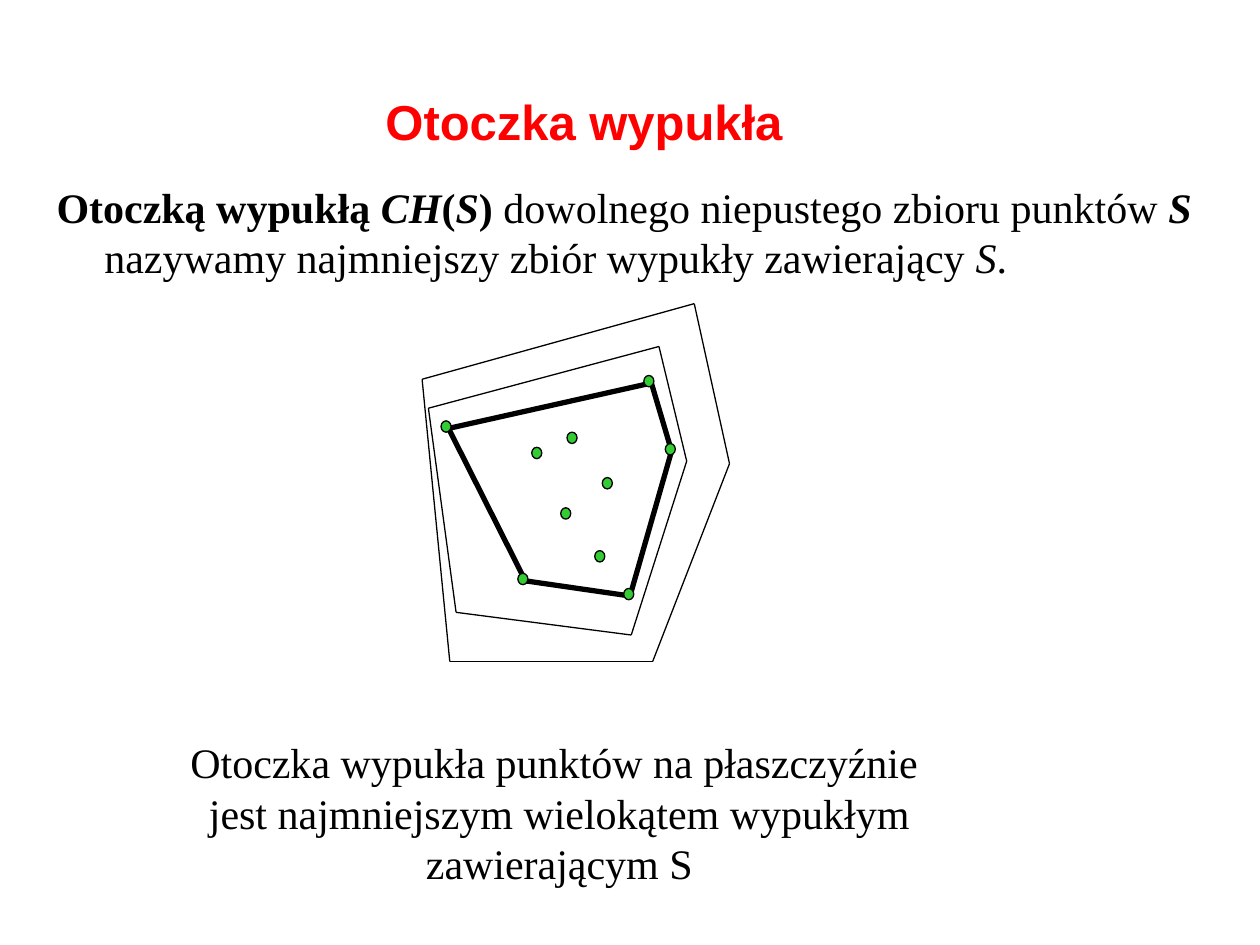
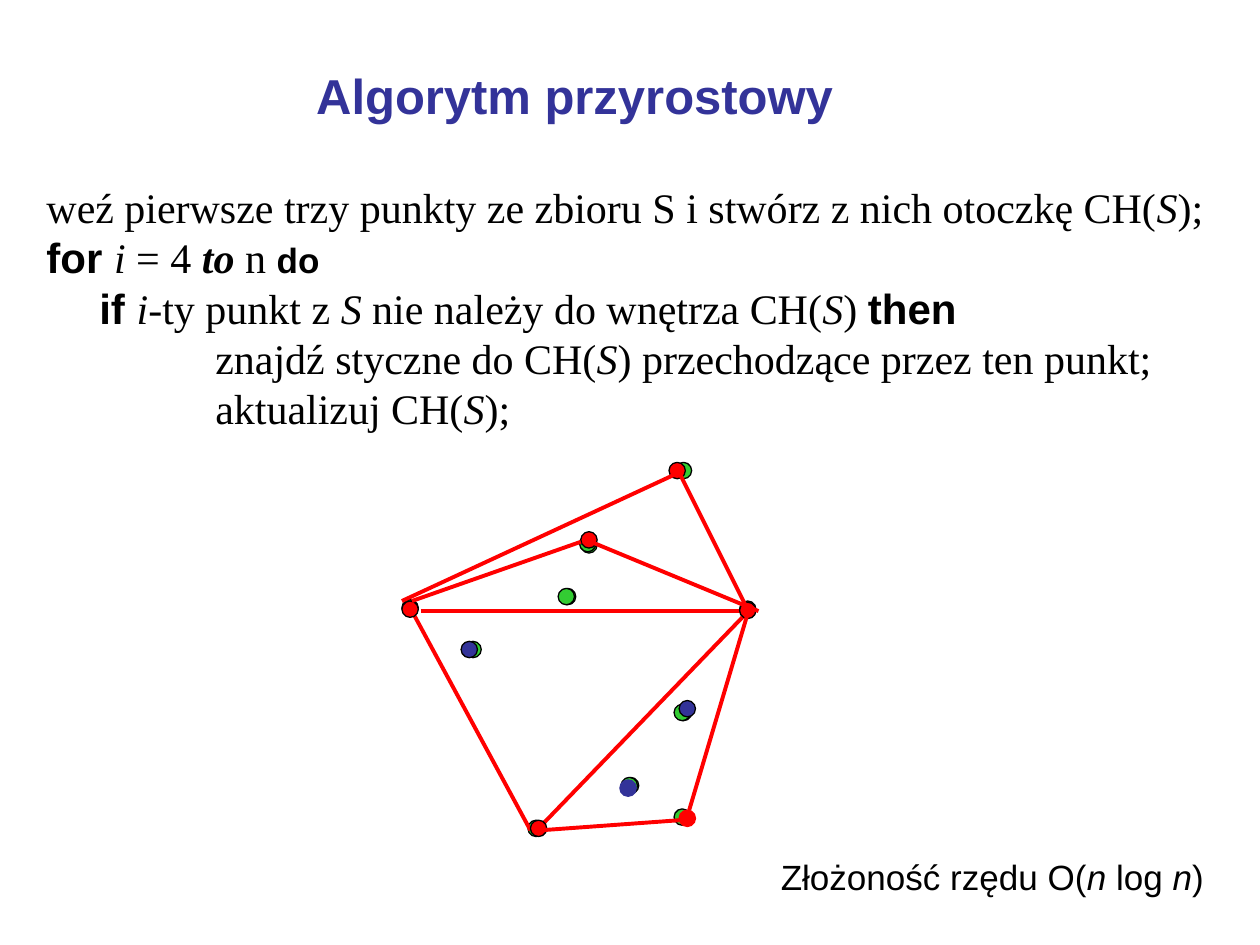
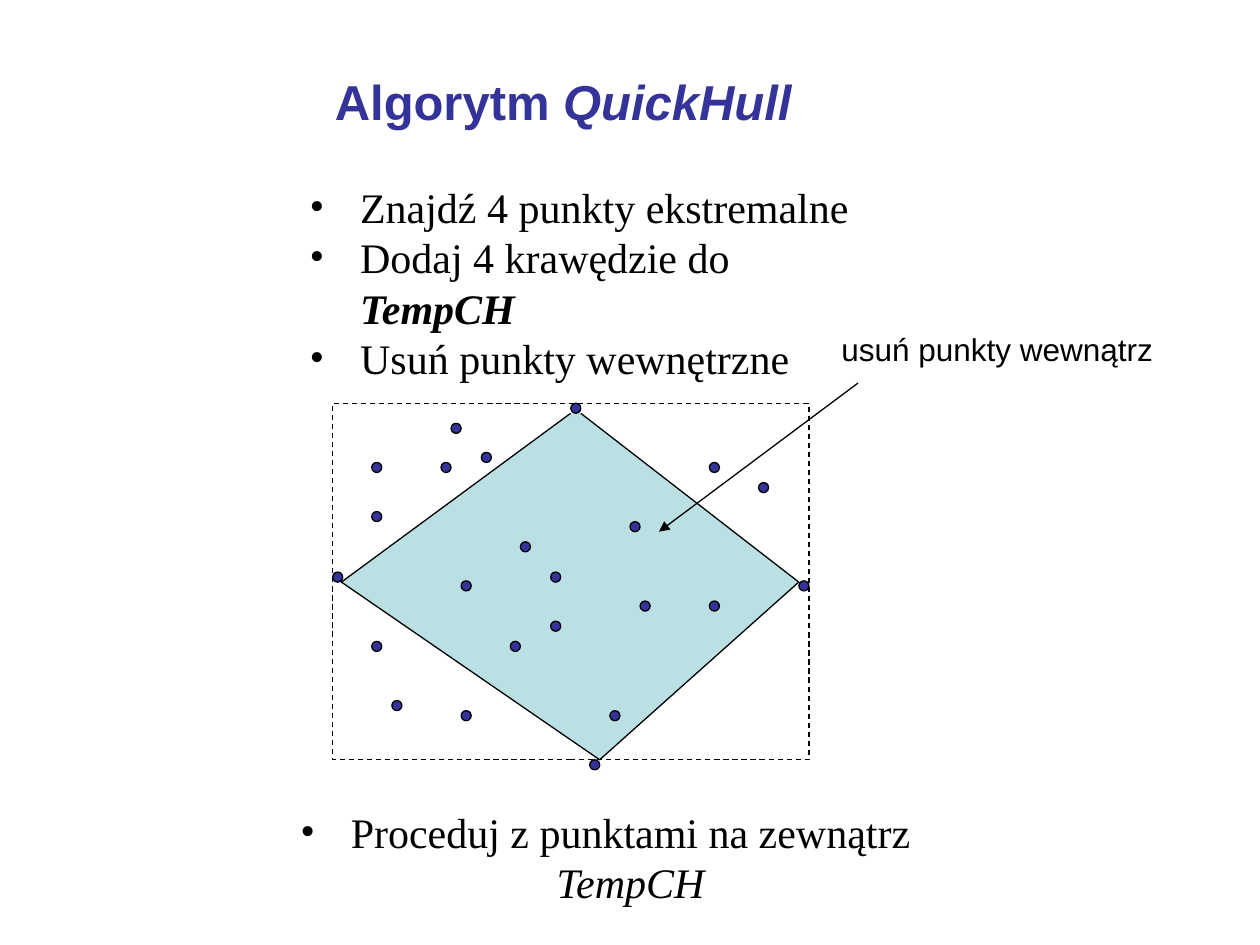
from itertools import pairwise
from lxml.etree import SubElement as Sub
from pptx import Presentation
from pptx.dml.color import RGBColor as Rgb
from pptx.enum.dml import MSO_LINE as Dash
from pptx.enum.shapes import MSO_CONNECTOR as Link, MSO_SHAPE as Kind
from pptx.enum.text import PP_ALIGN as Align
from pptx.oxml.ns import qn
from pptx.util import Inches, Pt

HUES = {
    "black": "000000",
    "white": "FFFFFF",
    "red": "FF0000",
    "blue": "333399",
    "green": "33CC33",
    "aqua": "BBE0E3",
}
SANS, SERIF = "Arial", "Times New Roman"
THIN = 0.75


def hue(name):
    return Rgb.from_string(HUES[name])


def apply(item, vals):
    for key, val in vals.items():
        setattr(item, key, val)


def shift(box, spot):
    return Inches(box[0] + spot[0]), Inches(box[1] + spot[1])


def style(shape, fill, edge="black"):
    shape.shadow.inherit = False
    shape.fill.solid()
    shape.fill.fore_color.rgb = hue(fill)
    shape.line.color.rgb = hue(edge)
    shape.line.width = Pt(THIN)


def line(slide, box, start, end, color="black", width=THIN, arrow=False):
    link = slide.shapes.add_connector(
        Link.STRAIGHT, *shift(box, start), *shift(box, end))
    link.line.color.rgb = hue(color)
    link.line.width = Pt(width)
    props = link._element.spPr
    if arrow:
        Sub(props.find(qn("a:ln")), qn("a:tailEnd"), type="triangle")
    Sub(props, qn("a:effectLst"))


def ring(slide, box, spots, width):
    for start, end in pairwise(spots + spots[:1]):
        line(slide, box, start, end, width=width)


def dots(slide, box, spots, size, fill, edge="black"):
    for spot in spots:
        dot = slide.shapes.add_shape(
            Kind.OVAL, *shift(box, spot), *map(Inches, size))
        style(dot, fill, edge)


def text(slide, box, paras, size=24, font=SERIF, color="black",
         align=Align.LEFT, wrap=True, bold=False, hang=0, left=(), mark=None):
    frame = slide.shapes.add_textbox(*map(Inches, box)).text_frame
    frame.word_wrap = wrap
    for num, runs in enumerate(paras):
        para = frame.add_paragraph() if num else frame.paragraphs[0]
        para.alignment = align
        props = para._p.get_or_add_pPr()
        inset = left[num] if left else hang
        props.set("marL", str(Inches(inset)))
        props.set("indent", str(-Inches(hang)))
        if mark:
            Sub(props, qn("a:buFont"), typeface=font)
            Sub(props, qn("a:buChar"), char=mark)
        for words, code in runs:
            run = para.add_run()
            run.text = words
            apply(run.font, {
                "size": Pt(20 if "s" in code else size),
                "name": SANS if "a" in code else font,
                "bold": bold or "b" in code,
                "italic": "i" in code,
            })
            run.font.color.rgb = hue(color)


def title(slide, box, runs, color="blue"):
    text(slide, box, [runs], 28, SANS, color, Align.CENTER, False, True)


def label(slide, box, runs, size):
    text(slide, box, [runs], size, SANS, align=Align.CENTER, wrap=False)


def hulls(slide, box):
    ring(slide, box, [(0.21, 0.99), (1.82, 0.63), (1.98, 1.17),
                      (1.65, 2.32), (0.82, 2.2)], 3)
    dots(slide, box, [
        (1.76, 0.57), (0.87, 1.14), (1.15, 1.02), (1.43, 1.38), (1.1, 1.62),
        (1.93, 1.11), (0.15, 0.93), (1.6, 2.26), (0.76, 2.14), (1.37, 1.96),
    ], (0.08, 0.09), "green")
    ring(slide, box, [(0, 0.6), (2.16, 0), (2.44, 1.27),
                      (1.83, 2.84), (0.22, 2.84)], THIN)
    ring(slide, box, [(0.05, 0.83), (1.88, 0.34), (2.1, 1.25),
                      (1.66, 2.63), (0.27, 2.45)], THIN)


def growth(slide, box):
    size = (0.13, 0.13)
    east = (2.75, 1.18)
    peak = (2.2, 0.08)

    def edges(*pairs):
        for start, end in pairs:
            line(slide, box, start, end, "red", 2.25)

    def spots(fill, *places, edge="black"):
        dots(slide, box, places, size, fill, edge)

    spots("green", (2.17, 0), (0, 1.09), (1.25, 1), (2.17, 1.92), (1.75, 2.5),
          (2.68, 1.1), (2.16, 2.75), (1, 2.84), (1.42, 0.59), (0.5, 1.42),
          (1.24, 1), (1.74, 2.5), (2.16, 1.92), (1.41, 0.58))
    edges(((1.07, 2.92), east), ((0.15, 1.18), east),
          ((0.08, 1.18), (1.02, 2.92)))
    spots("red", (0, 1.1), (1.02, 2.84), (2.68, 1.11), (1.42, 0.55))
    spots("blue", (0.47, 1.42))
    edges(((1.42, 0.63), (0.08, 1.1)), ((1.5, 0.63), (2.83, 1.18)))
    spots("red", (2.2, 2.76), edge="red")
    edges(((1.1, 2.92), (2.2, 2.84)), ((2.28, 2.76), east))
    spots("blue", (1.73, 2.52), edge="blue")
    spots("blue", (2.2, 1.89))
    spots("red", (2.12, 0))
    edges((peak, (0, 1.1)), (peak, east))


def quick(slide, box):
    size = (0.08, 0.08)
    frame = slide.shapes.add_shape(Kind.RECTANGLE, *map(Inches, box))
    style(frame, "white")
    frame.line.dash_style = Dash.DASH
    dots(slide, box, [(3.7, 1.41), (0, 1.34)], size, "blue")
    first, *rest = [shift(box, spot) for spot in (
        (1.89, 0.08), (0.07, 1.42), (2.12, 2.83), (3.7, 1.42), (1.97, 0.08))]
    pen = slide.shapes.build_freeform(*first)
    pen.add_line_segments(rest, close=False)
    style(pen.convert_to_shape(), "aqua")
    dots(slide, box, [
        (2.04, 2.83), (1.49, 1.1), (1.02, 1.41), (2.36, 0.94), (1.73, 1.73),
        (2.44, 1.57), (2.2, 2.44), (1.73, 1.34), (0.31, 0.47), (0.86, 0.47),
        (1.41, 1.89), (1.18, 0.39), (0.47, 2.36), (0.31, 0.86), (2.99, 0.47),
        (1.02, 2.44), (3.38, 0.63), (2.99, 1.57), (0.31, 1.89), (0.94, 0.16),
        (1.89, 0),
    ], size, "blue")
    line(slide, box, (4.17, -0.16), (2.59, 1.02), arrow=True)


def convex(slide):
    text(slide, (0.35, 1.39, 9.21, 0.94), [[
        ("Otoczką wypukłą ", "b"), ("CH", "bi"), ("(", "b"), ("S", "bi"),
        (") ", "b"), ("dowolnego niepustego zbioru punktów ", ""),
        ("S ", "bi"), ("nazywamy najmniejszy zbiór wypukły zawierający ", ""),
        ("S", "i"), (".", ""),
    ]], hang=0.38)
    hulls(slide, (3.35, 2.41))
    title(slide, (2.91, 0.68, 3.45, 0.57), [("Otoczka wypukła", "")], "red")
    text(slide, (1.14, 5.8, 6.6, 1.3), [
        [("Otoczka wypukła punktów na płaszczyźnie ", "")],
        [("jest najmniejszym wielokątem wypukłym zawierającym S", "")],
    ], align=Align.CENTER)


def steps(slide):
    text(slide, (0.27, 1.39, 9.45, 2.9), [
        [("weź pierwsze trzy punkty ze zbioru S i stwórz z nich otoczkę CH(",
          ""), ("S", "i"), (");", "")],
        [("for ", "ab"), ("i", "i"), (" = 4 ", ""), ("to", "bi"),
         (" n ", ""), ("do", "abs")],
        [("if ", "ab"), ("i", "i"), ("-ty punkt z ", ""), ("S", "i"),
         (" nie należy do wnętrza CH(", ""), ("S", "i"), (") ", ""),
         ("then", "ab")],
        [("znajdź styczne do CH(", ""), ("S", "i"),
         (") przechodzące przez ten punkt;", "")],
        [("aktualizuj CH(", ""), ("S", "i"), (");", "")],
    ], left=(0, 0, 0.42, 1.34, 1.34))
    title(slide, (2.36, 0.47, 4.4, 0.57), [("Algorytm przyrostowy", "")])
    growth(slide, (3.19, 3.67))
    label(slide, (6.05, 6.74, 3.65, 0.44), [
        ("Złożoność rzędu O(", ""), ("n", "i"), (" log ", ""), ("n", "i"),
        (")", "")], 20)


def prune(slide):
    title(slide, (2.51, 0.52, 3.92, 0.57),
          [("Algorytm ", ""), ("QuickHull", "i")])
    quick(slide, (2.64, 3.2, 3.78, 2.83))
    text(slide, (2.36, 1.39, 4.76, 1.3), [
        [("Znajdź 4 punkty ekstremalne", "")],
        [("Dodaj 4 krawędzie do ", ""), ("TempCH", "bi")],
        [("Usuń punkty wewnętrzne", "")],
    ], hang=0.4, mark="•")
    label(slide, (6.53, 2.57, 2.77, 0.4), [("usuń punkty wewnątrz", "")], 18)
    text(slide, (1.7, 6.35, 6.21, 0.5), [
        [("Proceduj z punktami na zewnątrz ", ""), ("TempCH", "i")],
    ], align=Align.CENTER, hang=0.4, mark="•")


def main():
    deck = Presentation()
    apply(deck, {"slide_width": Inches(10), "slide_height": Inches(7.5)})
    for build in (convex, steps, prune):
        build(deck.slides.add_slide(deck.slide_layouts[6]))
    deck.save("out.pptx")


if __name__ == "__main__":
    main()
